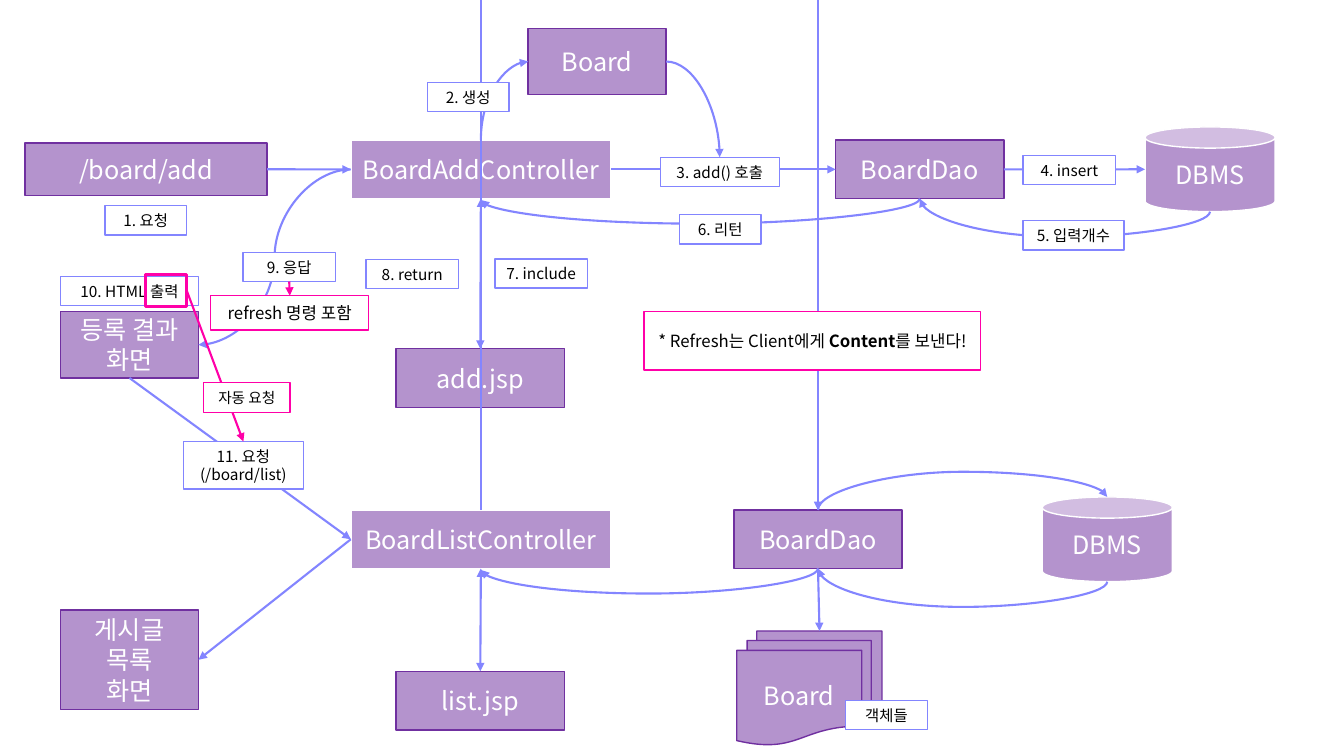
from lxml import etree
from pptx import Presentation
from pptx.dml.color import RGBColor
from pptx.enum.shapes import MSO_CONNECTOR, MSO_SHAPE
from pptx.enum.text import MSO_ANCHOR, PP_ALIGN
from pptx.oxml.ns import qn
from pptx.util import Pt

RECT, CAN = MSO_SHAPE.RECTANGLE, MSO_SHAPE.CAN
DOCUMENTS = MSO_SHAPE.FLOWCHART_MULTIDOCUMENT
STRAIGHT, CURVE = MSO_CONNECTOR.STRAIGHT, MSO_CONNECTOR.CURVE
CENTER, MIDDLE = PP_ALIGN.CENTER, MSO_ANCHOR.MIDDLE

FONT = "Noto Sans CJK KR"
COLORS = {"purple": "7030A0", "blue": "8385FF", "pink": "FF00A8",
          "white": "FFFFFF", "black": "000000"}
NODE_OPACITY = 52
BULGE = 18

CONTROLLER = (185.8, 41.8)
COMPONENT = (120.2, 41.8)
DATABASE = (92.9, 60.5)
SCREEN = (98.6, 47.5)

NODES = {
    "add_url": ("/board/add", 18, 102.2, (172.8, 37.4), RECT, "purple"),
    "add_controller": ("BoardAddController", 250.6, 100.1, CONTROLLER, RECT, "white"),
    "add_dao": ("BoardDao", 596.9, 100.1, COMPONENT, RECT, "purple"),
    "add_dbms": ("DBMS", 817.9, 90.7, DATABASE, CAN, "white"),
    "board": ("Board", 377.3, 20.2, SCREEN, RECT, "purple"),
    "add_jsp": ("add.jsp", 283, 249.1, COMPONENT, RECT, "purple"),
    "result": ("등록 결과\n화면", 43.2, 222.5, SCREEN, RECT, "purple"),
    "list_controller": ("BoardListController", 250.6, 364.3, CONTROLLER, RECT, "white"),
    "list_jsp": ("list.jsp", 283, 479.5, COMPONENT, RECT, "purple"),
    "list_screen": ("게시글\n목록\n화면", 43.2, 435.6, (98.6, 71.3), RECT, "purple"),
    "list_dao": ("BoardDao", 524.2, 364.3, COMPONENT, RECT, "purple"),
    "list_dbms": ("DBMS", 744.5, 355, DATABASE, CAN, "white"),
    "boards": ("Board", 526.3, 450.7, (103.7, 81.4), DOCUMENTS, "purple"),
}

LABELS = {
    "objects": ("객체들", 604.1, 500.4, 58.3),
    "request": ("1. 요청", 74.9, 146.9, 58.3),
    "create": ("2. 생성", 305.3, 59, 58.3),
    "call": ("3. add() 호출", 471.6, 112.3, 85),
    "insert": ("4. insert", 730.8, 110.9, 66.2),
    "count": ("5. 입력개수", 730.8, 157.7, 72),
    "return_dao": ("6. 리턴", 485.3, 153.4, 58.3),
    "include": ("7. include", 353.5, 185, 66.2),
    "return_jsp": ("8. return", 261.4, 185.4, 66.2),
    "response": ("9. 응답", 173.5, 180.2, 66.2),
    "print": ("10. HTML 출력", 43.2, 197.5, 98.6),
    "list_request": ("11. 요청\n(/board/list)", 131, 315.4, 85.7),
}

HIGHLIGHT = (103.8, 195.8, 29.5, 23)

NOTES = {
    "refresh": ([("refresh 명령 포함", False)], 150.5, 211.2, 113, 24.5, 12),
    "auto": ([("자동 요청", False)], 145.4, 273.1, 61.9, 21.6, 10.5),
    "content": ([("* Refresh는 Client에게 ", False), ("Content", True),
                 ("를 보낸다!", False)], 460.1, 222.5, 240.5, 41.8, 12),
}

FLOWS = [
    ("add_url", "right", "add_controller", "left", STRAIGHT),
    ("add_controller", "top", "board", "left", CURVE),
    ("board", "right", "call", "top", CURVE),
    ("add_controller", "right", "add_dao", "left", STRAIGHT),
    ("add_dao", "right", "add_dbms", "left", STRAIGHT),
    ("add_dbms", "bottom", "add_dao", "bottom", CURVE),
    ("add_dao", "bottom", "add_controller", "bottom", CURVE),
    ("add_controller", "left", "result", "right", CURVE),
    ("result", "bottom", "list_controller", "left", STRAIGHT),
    ("list_controller", "left", "list_screen", "right", STRAIGHT),
    ("list_dao", "top", "list_dbms", "top", CURVE),
    ("list_dbms", "bottom", "list_dao", "bottom", CURVE),
    ("list_dao", "bottom", "list_controller", "bottom", CURVE),
    ("list_dao", "bottom", "boards", "top", STRAIGHT),
]
TWO_WAY = [("add_controller", "add_jsp"), ("list_controller", "list_jsp")]
FROM_SLIDE_TOP = [("list_controller", ()), ("list_dao", ("tailEnd",))]
PINK_FLOWS = [("highlight", "right", "list_request", "top"),
              ("response", "bottom", "refresh", "top")]

prs = Presentation()
prs.slide_width, prs.slide_height = Pt(960), Pt(540)
slide = prs.slides.add_slide(prs.slide_layouts[6])
boxes = {}


def rgb(name):
    return RGBColor.from_string(COLORS[name])


def write_text(shape, paragraphs, size=11, color="black", wrap=True):
    frame = shape.text_frame
    frame.word_wrap = wrap
    frame.vertical_anchor = MIDDLE
    for index, pieces in enumerate(paragraphs):
        paragraph = frame.add_paragraph() if index else frame.paragraphs[0]
        paragraph.alignment = CENTER
        for words, bold in pieces:
            run = paragraph.add_run()
            run.text = words
            run.font.size, run.font.bold, run.font.name = Pt(size), bold, FONT
            run.font.color.rgb = rgb(color)
            etree.SubElement(run.font._element, qn("a:ea"), typeface=FONT)


def plain_lines(text):
    return [[(line, False)] for line in text.split("\n")]


def add_box(key, box, kind=RECT, fill="white", line="blue", weight=1):
    boxes[key] = box
    shape = slide.shapes.add_shape(kind, *map(Pt, box))
    shape.shadow.inherit = False
    shape.line.color.rgb, shape.line.width = rgb(line), Pt(weight)
    if fill:
        shape.fill.solid()
        shape.fill.fore_color.rgb = rgb(fill)
    else:
        shape.fill.background()
    return shape


def side_point(key, side):
    left, top, width, height = boxes[key]
    across = {"left": 0, "right": 1}.get(side, 0.5)
    if key == "boards":
        across = 0.57
    down = {"top": 0, "bottom": 1}.get(side, 0.5)
    return left + across * width, top + down * height


def add_line(start, end, kind=STRAIGHT, color="blue", ends=("tailEnd",)):
    line = slide.shapes.add_connector(kind, *map(Pt, (*start, *end)))
    line.line.color.rgb, line.line.width = rgb(color), Pt(1.5)
    for arrow in ends:
        etree.SubElement(line.line._get_or_add_ln(), qn(f"a:{arrow}"), type="triangle")
    etree.SubElement(line.element.spPr, qn("a:effectLst"))
    return line


def add_curve(start, start_side, end, end_side):
    upright = ("top", "bottom")
    (x1, y1), (x2, y2) = start, end
    rise = y2 - y1 if abs(y2 - y1) > 0.5 else 1
    turned = start_side in upright
    if turned:
        mid_x, mid_y = (x1 + x2) / 2, y1 + rise / 2
        half_x, half_y = rise / 2, (x1 - x2) / 2
        start, end = (mid_x - half_x, mid_y - half_y), (mid_x + half_x, mid_y + half_y)
    properties = add_line(start, end, CURVE).element.spPr
    geometry = properties.find(qn("a:prstGeom"))
    if turned:
        properties.find(qn("a:xfrm")).set("rot", "5400000")
    if turned != (end_side in upright):
        geometry.set("prst", "curvedConnector2")
    elif turned:
        bend = max(y1, y2) + BULGE if start_side == "bottom" else min(y1, y2) - BULGE
        guides = geometry.find(qn("a:avLst"))
        etree.SubElement(guides, qn("a:gd"), name="adj1",
                         fmla=f"val {round((bend - y1) / rise * 100000)}")


for key, (text, left, top, size, kind, outline) in NODES.items():
    node = add_box(key, (left, top, *size), kind, "purple", outline)
    fill_color = node.element.spPr.find(qn("a:solidFill"))[0]
    etree.SubElement(fill_color, qn("a:alpha"), val=str(NODE_OPACITY * 1000))
    write_text(node, plain_lines(text), size=18, color="white")

for key, (text, left, top, width) in LABELS.items():
    boxes[key] = (left, top, width, 33.9 if "\n" in text else 20.9)

for start_key, start_side, end_key, end_side, kind in FLOWS:
    start, end = side_point(start_key, start_side), side_point(end_key, end_side)
    if kind == CURVE:
        add_curve(start, start_side, end, end_side)
    else:
        add_line(start, end)
for upper, lower in TWO_WAY:
    add_line(side_point(upper, "bottom"), side_point(lower, "top"),
             ends=("headEnd", "tailEnd"))
for key, ends in FROM_SLIDE_TOP:
    x, y = side_point(key, "top")
    add_line((x, 0), (x, y), ends=ends)

for key, (text, *_) in LABELS.items():
    write_text(add_box(key, boxes[key]), plain_lines(text), wrap=False)

add_box("highlight", HIGHLIGHT, fill=None, line="pink", weight=2)
for key, (_, *box, size) in NOTES.items():
    boxes[key] = box
for start_key, start_side, end_key, end_side in PINK_FLOWS:
    add_line(side_point(start_key, start_side), side_point(end_key, end_side), color="pink")
for key, (pieces, *box, size) in NOTES.items():
    write_text(add_box(key, box, line="pink"), [pieces], size=size)

prs.save("out.pptx")
